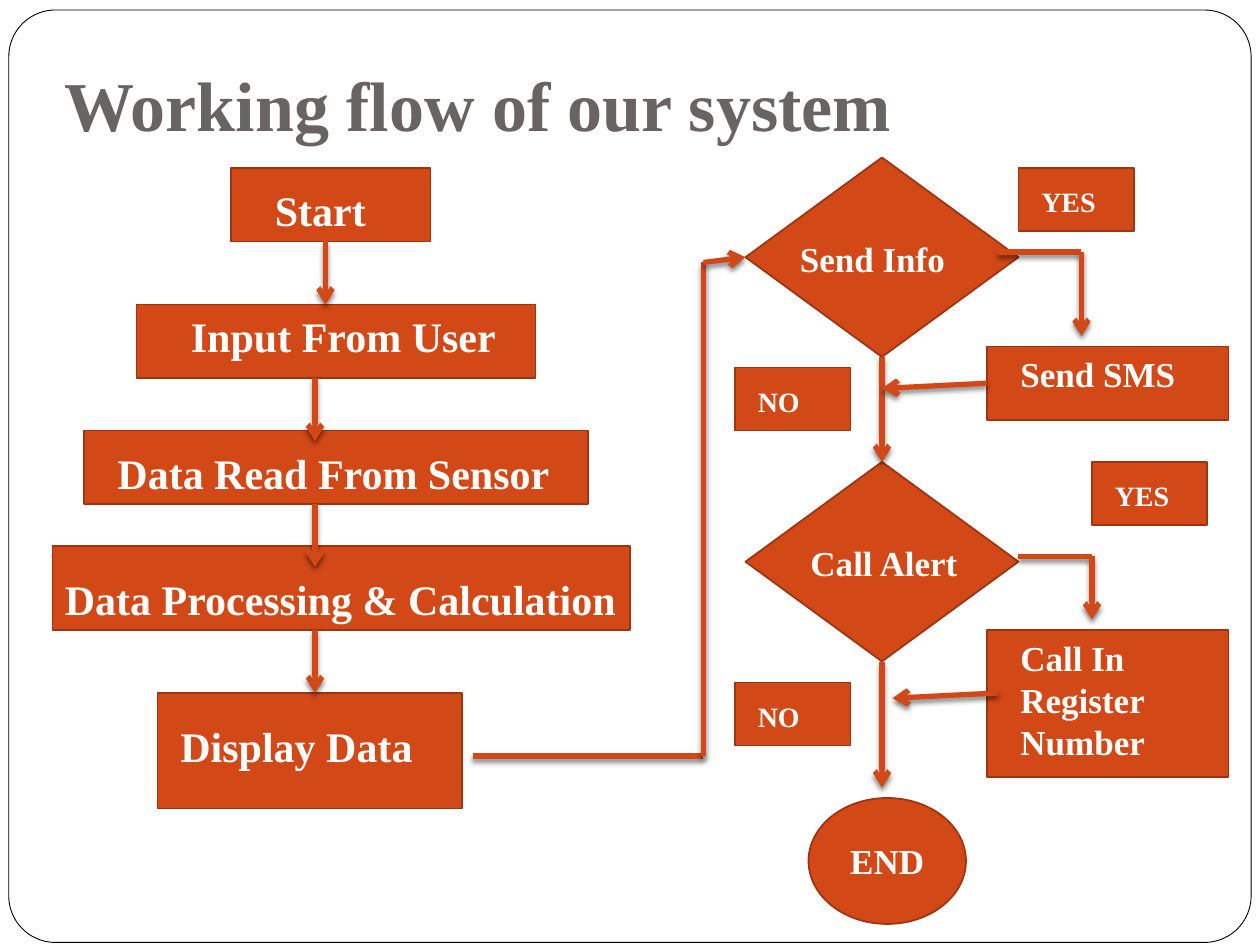
from lxml import etree
from pptx import Presentation
from pptx import util as u
from pptx.dml.color import RGBColor
from pptx.enum import shapes, text
from pptx.oxml import parse_xml
from pptx.oxml.ns import nsdecls, qn

THEME = {
    "font": "Times New Roman",
    "title": "696464", "text": "FFFFFF", "accent": "D34817", "edge": "9C3511",
    "paper": "FFFFFF", "frame": "000000",
    "title_size": 40, "step_size": 24, "branch_size": 20, "answer_size": 16,
    "frame_line": 0.5, "edge_line": 1, "arrow_line": 3,
}

# All places are in grid units: twelve to the inch.
GRID_CM = 2.54 / 12

TITLE = "Working flow of our system"
RECT = shapes.MSO_SHAPE.RECTANGLE
DIAMOND = shapes.MSO_SHAPE.DIAMOND

# label, size key, shape, shape box, label box
NODES = [
    ("Start", "step_size", RECT, (22, 16, 19, 7), (25, 17, 18, 6)),
    ("Input From User", "step_size", RECT, (13, 29, 38, 7), (17, 29, 33, 6)),
    ("Data Read From Sensor", "step_size", RECT, (8, 41, 48, 7), (10, 42, 46, 6)),
    ("Data Processing & Calculation", "step_size", RECT, (5, 52, 55, 8), (5, 54, 61, 6)),
    ("Display Data", "step_size", RECT, (15, 66, 29, 11), (16, 68, 36, 6)),
    ("Send Info", "branch_size", DIAMOND, (71, 15, 26, 19), (75, 22, 19, 5.25)),
    ("Send SMS", "branch_size", RECT, (94, 33, 23, 7), (96, 33, 21, 5.25)),
    ("Call Alert", "branch_size", DIAMOND, (71, 44, 26, 19), (76, 51, 22, 5.25)),
    ("Call In Register Number", "branch_size", RECT, (94, 60, 23, 14), (96, 60, 24, 13.3)),
]
END = ("END", (77, 76, 15, 12))
ANSWERS = [("YES", 97, 16), ("NO", 70, 35), ("YES", 104, 44), ("NO", 70, 65)]

# Each route is a list of points; the last segment carries the arrowhead.
ROUTES = [
    [(45, 72), (67, 72), (67, 25), (71, 24.5)],
    [(84, 34), (84, 44)],
    [(95, 24), (103, 24), (103, 32)],
    [(97, 53), (104, 53), (104, 59)],
    [(94, 36.5), (84, 37)],
    [(84, 63), (84, 75)],
    [(95, 66), (85, 66.5)],
    [(31, 23), (31, 29)],
    [(30, 36), (30, 42)],
    [(30, 48), (30, 54)],
    [(30, 60), (30, 66)],
]

SHADOW = (
    f'<a:effectLst {nsdecls("a")}>'
    '<a:outerShdw blurRad="38100" dist="25400" dir="5400000" rotWithShape="0">'
    '<a:srgbClr val="000000"><a:alpha val="50000"/></a:srgbClr>'
    '</a:outerShdw></a:effectLst>'
)


def grid(*values):
    return [u.Cm(v * GRID_CM) for v in values]


def color(key):
    return RGBColor.from_string(THEME[key])


def write(tf, label, size, ink="text"):
    tf.word_wrap = True
    p = tf.paragraphs[0]
    r = p.add_run()
    r.text = label
    r.font.name = THEME["font"]
    r.font.size = u.Pt(THEME[size])
    r.font.bold = True
    r.font.color.rgb = color(ink)
    return p


def add_box(s, kind, box, fill="accent", edge="edge", width="edge_line"):
    sp = s.shapes.add_shape(kind, *grid(*box))
    sp.shadow.inherit = False
    sp.fill.solid()
    sp.fill.fore_color.rgb = color(fill)
    sp.line.color.rgb = color(edge)
    sp.line.width = u.Pt(THEME[width])
    return sp


def add_label(s, label, size, box):
    tf = s.shapes.add_textbox(*grid(*box)).text_frame
    write(tf, label, size)
    tf.auto_size = text.MSO_AUTO_SIZE.SHAPE_TO_FIT_TEXT


def add_route(s, points):
    for start, end in zip(points, points[1:]):
        line = s.shapes.add_connector(
            shapes.MSO_CONNECTOR.STRAIGHT, *grid(*start, *end))
        line.line.color.rgb = color("accent")
        line.line.width = u.Pt(THEME["arrow_line"])
        if end == points[-1]:
            ln = line.line._get_or_add_ln()
            etree.SubElement(ln, qn("a:tailEnd"), type="arrow")
        line._element.spPr.append(parse_xml(SHADOW))


def add_title(s):
    sp = s.shapes.title
    sp.left, sp.top, sp.width, sp.height = grid(5, 0, 108, 15)
    tf = sp.text_frame
    tf.vertical_anchor = text.MSO_ANCHOR.BOTTOM
    tf.auto_size = text.MSO_AUTO_SIZE.NONE
    tf.margin_left = tf.margin_right = tf.margin_bottom = u.Cm(0.25)
    tf.margin_top = u.Cm(0.13)
    write(tf, TITLE, "title_size", "title").alignment = text.PP_ALIGN.LEFT


def add_frame(s):
    sp = add_box(s, shapes.MSO_SHAPE.ROUNDED_RECTANGLE, (0.84, 0.96, 118.32, 88.8),
                 "paper", "frame", "frame_line")
    sp.adjustments[0] = 0.05
    s.shapes.title._element.addprevious(sp._element)


def main():
    prs = Presentation()
    prs.slide_width, prs.slide_height = u.Cm(25.4), u.Cm(19.05)
    s = prs.slides.add_slide(prs.slide_layouts[5])
    add_title(s)
    add_frame(s)
    for label, size, kind, box, label_box in NODES:
        add_box(s, kind, box)
        add_label(s, label, size, label_box)
    label, box = END
    tf = add_box(s, shapes.MSO_SHAPE.OVAL, box).text_frame
    tf.vertical_anchor = text.MSO_ANCHOR.MIDDLE
    write(tf, label, "branch_size").alignment = text.PP_ALIGN.CENTER
    for label, x, y in ANSWERS:
        add_box(s, RECT, (x, y, 11, 6))
        add_label(s, label, "answer_size", (x + 1, y + 1, 11, 4.4))
    for points in ROUTES:
        add_route(s, points)
    prs.save("out.pptx")


if __name__ == "__main__":
    main()
